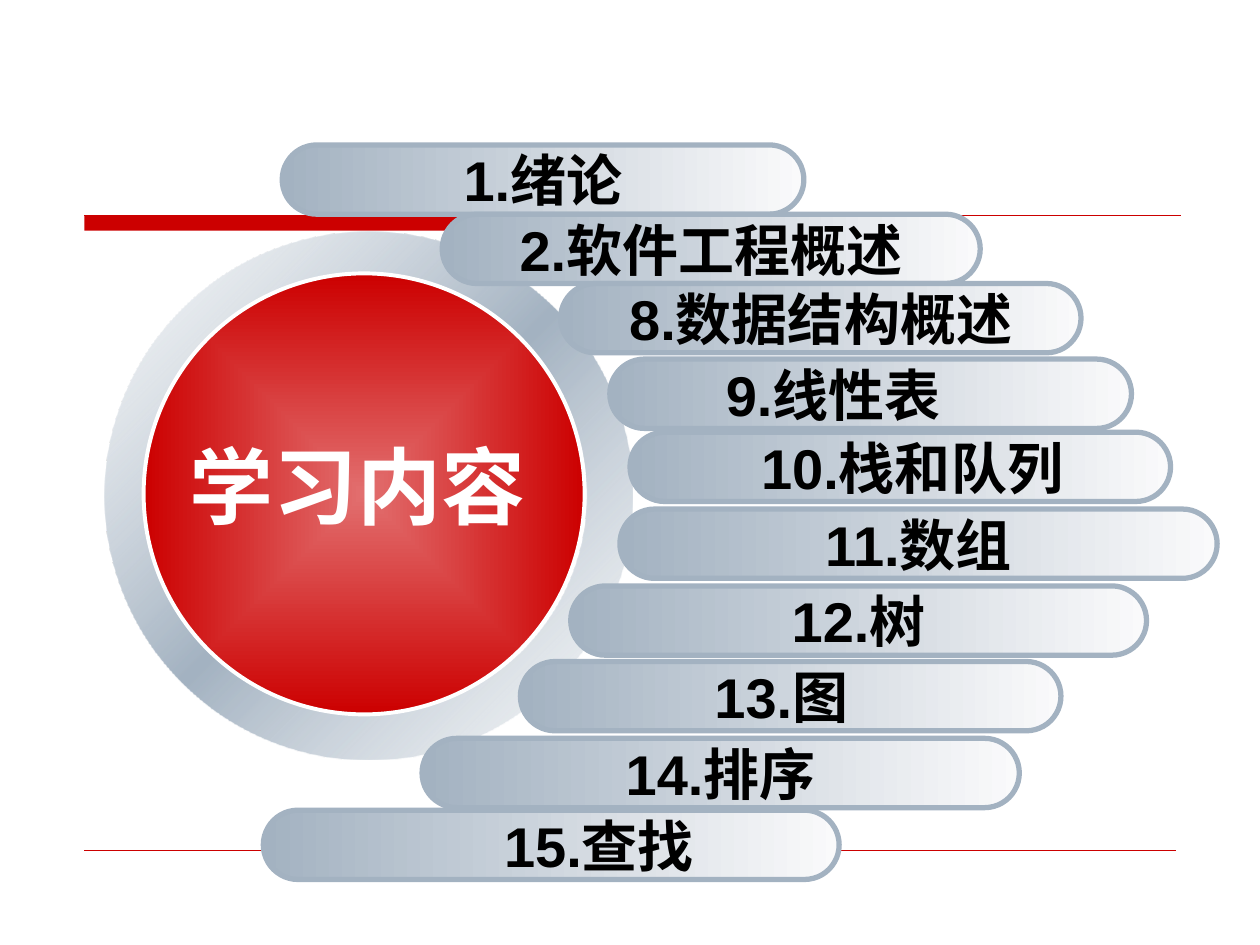
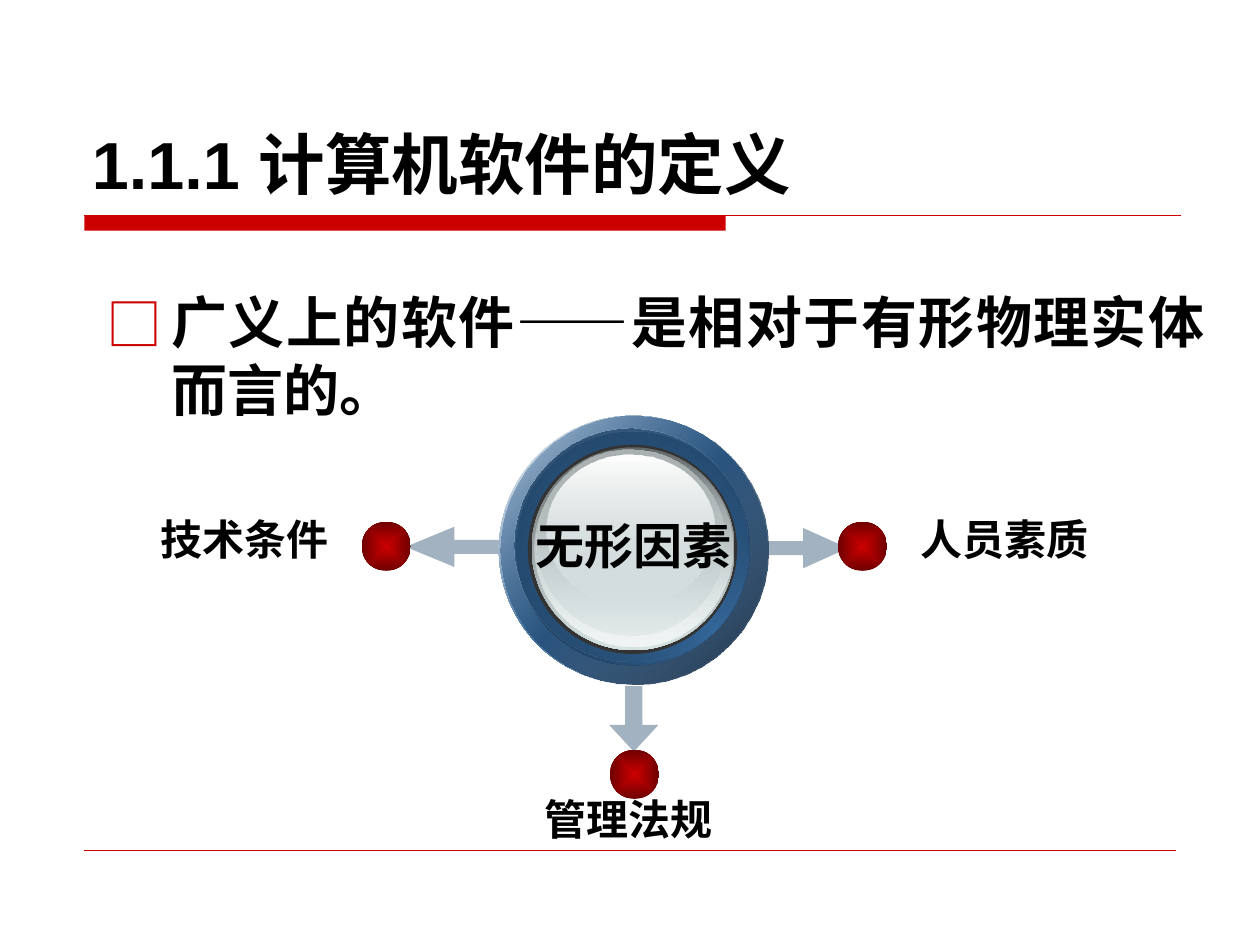
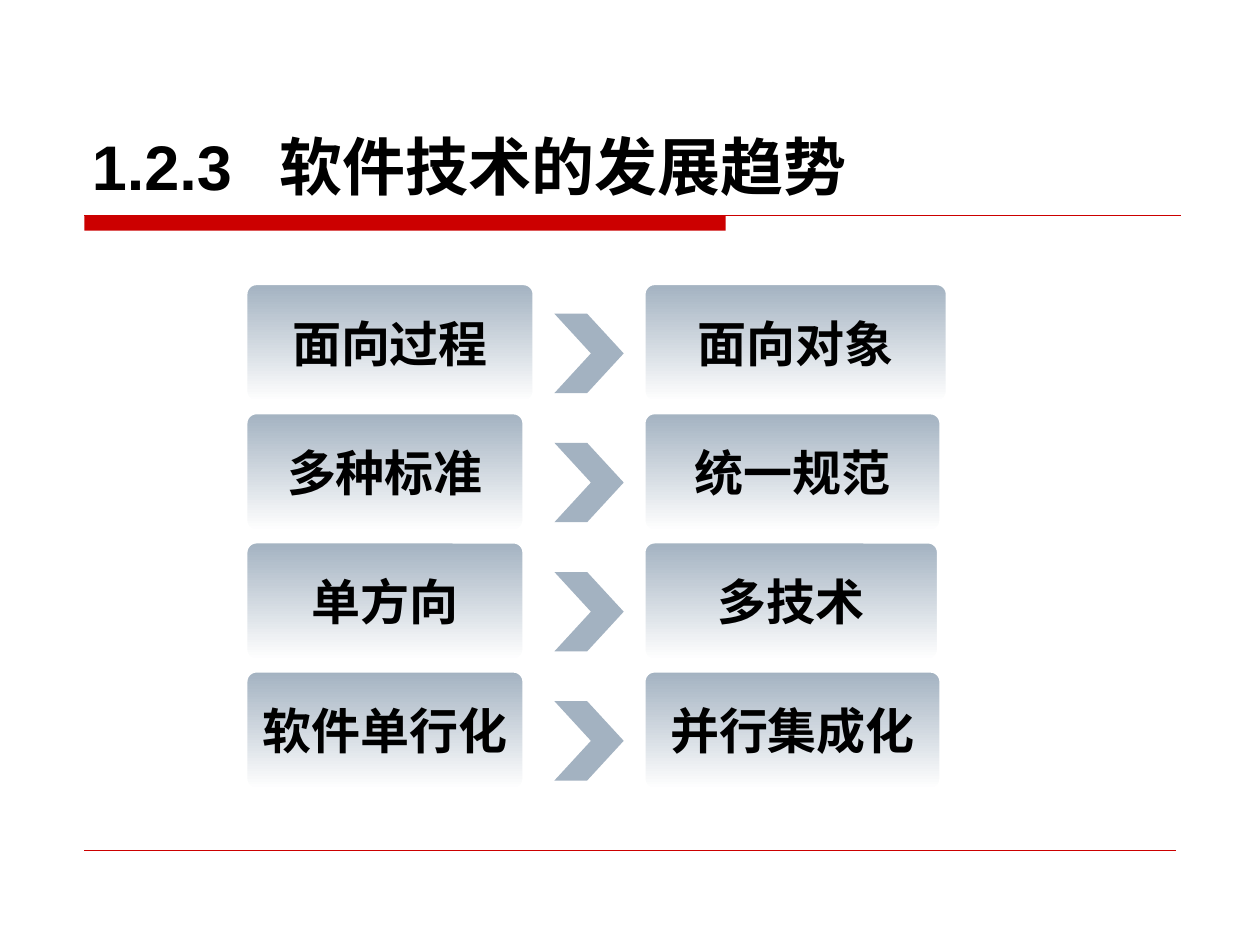
"""Build three slides of a computing course: contents, definition of software, trends."""
from lxml import etree
from pptx import Presentation
from pptx.dml.color import RGBColor
from pptx.enum.shapes import MSO_CONNECTOR, MSO_SHAPE
from pptx.enum.text import MSO_ANCHOR, PP_ALIGN
from pptx.oxml.ns import qn
from pptx.util import Inches, Pt

STRAIGHT = MSO_CONNECTOR.STRAIGHT
OVAL, DONUT, RECTANGLE = MSO_SHAPE.OVAL, MSO_SHAPE.DONUT, MSO_SHAPE.RECTANGLE
ROUNDED, ARROW = MSO_SHAPE.ROUNDED_RECTANGLE, MSO_SHAPE.RIGHT_ARROW
LEFT, CENTER, RIGHT, JUSTIFY = PP_ALIGN.LEFT, PP_ALIGN.CENTER, PP_ALIGN.RIGHT, PP_ALIGN.JUSTIFY
TOP, MIDDLE, BOTTOM = MSO_ANCHOR.TOP, MSO_ANCHOR.MIDDLE, MSO_ANCHOR.BOTTOM

COLORS = {"red": "CC0000", "dark_red": "6F0000", "rose": "E26F6F", "steel": "A3B2C1",
          "mist": "C7D0D9", "pale": "FAFAFB", "white": "FFFFFF", "black": "000000",
          "blue": "336699", "navy": "182F47", "deep": "1C3753", "ink": "204161",
          "charcoal": "333333", "grey": "636869", "silver": "AAB2B3", "glass": "D6E1E2",
          "frost": "F1F5F5"}
LATIN, ASIAN, BODY_FONT = "Arial", "Noto Sans CJK SC", "DejaVu Sans"

PILL_HEIGHT = 0.55
PILLS = [
    ("1.绪论", 2.24, 1.15, 4.14, None),
    ("2.软件工程概述", 3.51, 1.7, 4.27, None),
    ("8.数据结构概述", 4.45, 2.25, 4.13, None),
    ("9.线性表", 4.84, 2.85, 4.14, 0.84),
    ("10.栈和队列", 5, 3.43, 4.29, 0.96),
    ("11.数组", 4.92, 4.04, 4.74, None),
    ("12.树", 4.53, 4.65, 4.57, None),
    ("13.图", 4.13, 5.25, 4.29, 1.46),
    ("14.排序", 3.35, 5.86, 4.74, None),
    ("15.查找", 2.09, 6.43, 4.57, 1.83),
]
DEFINITION = [("广义上的软件", BODY_FONT), ("——", ASIAN), ("是相对于有形物理实体而言的。", BODY_FONT)]
ARROWS = [
    (5.86, 4.19, 0.87, 0.32, 0, 1.11),
    (3.22, 4.18, 0.94, 0.32, 180, 1.21),
    (4.77, 5.51, 0.52, 0.39, 90, 0.54),
]
LENS = [
    (3.96, 3.3, 2.13, 2.13, 45, [(0, "white"), (50, "blue"), (100, "white")]),
    (3.97, 3.3, 2.13, 2.13, 45, [(0, "blue", 32), (100, "navy")]),
    (4.1, 3.43, 1.85, 1.85, 315, [(0, "deep"), (50, "blue"), (100, "deep")]),
    (4.08, 3.4, 1.85, 1.85, 45, [(0, "ink"), (100, "blue", 0)]),
    (4.19, 3.53, 1.66, 1.66, 0, "charcoal"),
    (4.22, 3.55, 1.61, 1.61, 90, [(0, "grey"), (100, "glass")]),
    (4.24, 3.56, 1.57, 1.57, 90, [(0, "glass", 0), (100, "frost")]),
    (4.26, 3.57, 1.49, 1.47, 90, [(0, "silver"), (100, "glass", 48)]),
    (4.34, 3.61, 1.33, 1.19, 90, [(0, "white"), (100, "glass", 38)]),
]
FACTORS = [
    ("人员素质", 7.21, 4.03, LEFT, 6.65, 4.14),
    ("技术条件", 1.18, 4.03, RIGHT, 2.87, 4.14),
    ("管理法规", 4.22, 6.25, RIGHT, 4.84, 5.95),
]
TRENDS = [
    ("面向过程", 2.29, "面向对象", 2.41),
    ("多种标准", 2.21, "统一规范", 2.36),
    ("单方向", 2.21, "多技术", 2.34),
    ("软件单行化", 2.21, "并行集成化", 2.36),
]
TREND_TOP, TREND_PITCH, TREND_HEIGHT = 2.25, 1.025, 0.94
BEFORE_LEFT, CHEVRON_LEFT, AFTER_LEFT = 1.95, 4.4, 5.11
CHEVRON_POINTS = [(0, 0), (0.26, 0), (0.55, 0.315), (0.26, 0.63), (0, 0.63), (0.29, 0.315)]


def rgb(name):
    return RGBColor.from_string(COLORS[name])


def add_element(parent, tag, **attributes):
    element = etree.SubElement(parent, qn(tag))
    for key, value in attributes.items():
        element.set(key, str(value))
    return element


def paint(shape, fill, angle=0, line=None, width=1):
    """Fill with a colour name or with gradient stops; angle None means from the centre."""
    shape.shadow.inherit = False
    shape.fill.solid()
    if isinstance(fill, str):
        shape.fill.fore_color.rgb = rgb(fill)
    else:
        properties = shape._element.spPr
        gradient = etree.Element(qn("a:gradFill"), rotWithShape="1")
        stops = add_element(gradient, "a:gsLst")
        for position, color, *alpha in fill:
            stop = add_element(stops, "a:gs", pos=position * 1000)
            tone = add_element(stop, "a:srgbClr", val=COLORS[color])
            if alpha:
                add_element(tone, "a:alpha", val=alpha[0] * 1000)
        if angle is None:
            route = add_element(gradient, "a:path", path="rect")
            add_element(route, "a:fillToRect", l=50000, t=50000, r=50000, b=50000)
        else:
            add_element(gradient, "a:lin", ang=angle * 60000, scaled=0)
        properties.replace(properties.find(qn("a:solidFill")), gradient)
    if line:
        shape.line.color.rgb = rgb(line)
        shape.line.width = Pt(width)
    else:
        shape.line.fill.background()


def add_shape(slide, kind, box, fill, adjust=(), **style):
    shape = slide.shapes.add_shape(kind, *map(Inches, box))
    for index, value in enumerate(adjust):
        shape.adjustments[index] = value
    paint(shape, fill, **style)
    return shape


def add_line(slide, left, top, right, width):
    line = slide.shapes.add_connector(STRAIGHT, *map(Inches, (left, top, right, top)))
    line.line.color.rgb = rgb("red")
    line.line.width = Pt(width)
    add_element(line._element.spPr, "a:effectLst")


def write(shape, runs, size, color="black", align=CENTER, anchor=MIDDLE, wrap=False,
          indent=0.1, top=0.05, tab=None, bullet=None, hanging=0.51, spacing=None, shadow=False):
    """Put one paragraph, given as text or as (text, font) runs, into a shape."""
    frame = shape.text_frame
    frame.word_wrap, frame.vertical_anchor = wrap, anchor
    frame.margin_left, frame.margin_top = Inches(indent), Inches(top)
    frame.margin_right, frame.margin_bottom = Inches(0.1), Inches(0.05)
    paragraph = frame.paragraphs[0]
    properties = paragraph._p.get_or_add_pPr()
    if bullet:
        properties.set("marL", str(Inches(hanging)))
        properties.set("indent", str(-Inches(hanging)))
        add_element(add_element(properties, "a:buClr"), "a:srgbClr", val=COLORS["red"])
        add_element(properties, "a:buFont", typeface=ASIAN)
        add_element(properties, "a:buChar", char=bullet)
    if tab:
        add_element(add_element(properties, "a:tabLst"), "a:tab", pos=Inches(tab), algn="l")
    paragraph.alignment = align
    if spacing:
        paragraph.line_spacing = Pt(spacing)
    for text, font in [(runs, LATIN)] if isinstance(runs, str) else runs:
        run = paragraph.add_run()
        run.text = text
        run.font.size, run.font.bold, run.font.name = Pt(size), True, font
        run.font.color.rgb = rgb(color)
        run_properties = run.font._element
        asian = etree.Element(qn("a:ea"), typeface=ASIAN)
        run_properties.find(qn("a:latin")).addnext(asian)
        if shadow:
            effects = etree.Element(qn("a:effectLst"))
            outer = add_element(effects, "a:outerShdw", dist=Pt(2), dir=2700000, algn="tl")
            add_element(outer, "a:srgbClr", val=COLORS["black"])
            run_properties.find(qn("a:solidFill")).addnext(effects)


def add_text(slide, box, runs, size, **style):
    write(slide.shapes.add_textbox(*map(Inches, box)), runs, size, **style)


def add_slide(presentation, title=None, size=36, tab=None):
    slide = presentation.slides.add_slide(presentation.slide_layouts[5 if title else 6])
    add_shape(slide, RECTANGLE, (0.67, 1.71, 5.09, 0.12), "red")
    add_line(slide, 0.67, 1.71, 9.37, 0.75)
    add_line(slide, 0.67, 6.75, 9.33, 0.25)
    if title:
        holder = slide.shapes.title
        holder.left, holder.top, holder.width, holder.height = map(Inches, (0.63, 0.33, 8.75, 1.33))
        write(holder, title, size, align=LEFT, anchor=BOTTOM, wrap=True, tab=tab)
    return slide


def build_contents(presentation):
    slide = add_slide(presentation)
    add_shape(slide, DONUT, (0.83, 1.84, 4.19, 4.19),
              [(0, "mist", 12), (50, "steel"), (100, "mist", 12)], adjust=[0.088], angle=45)
    add_shape(slide, OVAL, (1.14, 2.17, 3.5, 3.5), [(0, "rose"), (100, "red")],
              angle=None, line="white", width=2.25)
    for text, left, top, width, indent in PILLS:
        pill = add_shape(slide, ROUNDED, (left, top, width, PILL_HEIGHT),
                         [(0, "steel"), (100, "pale")], adjust=[0.5], line="steel", width=3)
        if indent:
            write(pill, text, 32, align=LEFT, wrap=True, indent=indent)
        else:
            write(pill, text, 32)
    add_text(slide, (1.33, 3.4, 3.01, 0.9), "学习内容", 48, color="white",
             anchor=TOP, wrap=True, shadow=True)


def build_definition(presentation):
    slide = add_slide(presentation, "1.1.1 计算机软件的定义", size=38)
    add_text(slide, (0.75, 1.7, 8.91, 5.39), DEFINITION, 32, align=JUSTIFY, anchor=TOP,
             wrap=True, top=0.57, bullet="□", spacing=39)
    for left, top, width, height, rotation, head in ARROWS:
        arrow = add_shape(slide, ARROW, (left, top, width, height), "steel", adjust=[0.35, head])
        arrow.rotation = rotation
    for *box, angle, fill in LENS:
        add_shape(slide, OVAL, box, fill, angle=angle)
    add_text(slide, (4.15, 4.04, 1.75, 0.57), "无形因素", 28, anchor=TOP)
    for text, left, top, align, dot_left, dot_top in FACTORS:
        add_text(slide, (left, top, 1.53, 0.5), text, 24, align=align, anchor=TOP)
        add_shape(slide, OVAL, (dot_left, dot_top, 0.39, 0.39),
                  [(0, "red"), (100, "dark_red")], angle=None)


def build_trends(presentation):
    slide = add_slide(presentation, "1.2.3\t软件技术的发展趋势", tab=1.49)
    for row, (before, before_width, after, after_width) in enumerate(TRENDS):
        top = TREND_TOP + row * TREND_PITCH
        points = [(Inches(CHEVRON_LEFT + x), Inches(top + 0.24 + y)) for x, y in CHEVRON_POINTS]
        builder = slide.shapes.build_freeform(*points[0])
        builder.add_line_segments(points[1:], close=True)
        paint(builder.convert_to_shape(), "steel")
        for text, left, width in ((after, AFTER_LEFT, after_width),
                                  (before, BEFORE_LEFT, before_width)):
            card = add_shape(slide, ROUNDED, (left, top, width, TREND_HEIGHT),
                             [(0, "steel"), (100, "white")], adjust=[0.09],
                             angle=90, line="white", width=2)
            write(card, text, 28)


def main():
    presentation = Presentation()
    presentation.slide_width, presentation.slide_height = Inches(10), Inches(7.5)
    build_contents(presentation)
    build_definition(presentation)
    build_trends(presentation)
    presentation.save("out.pptx")


if __name__ == "__main__":
    main()
